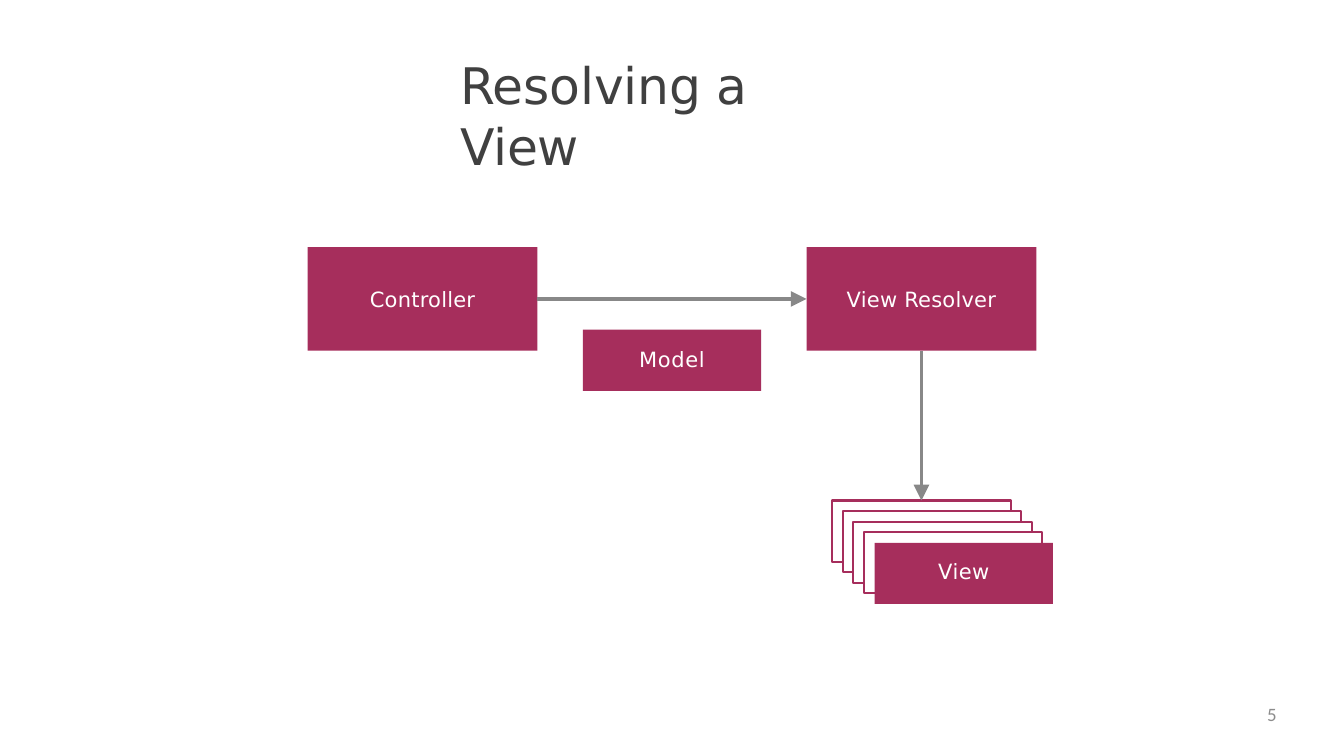
from lxml import etree
from pptx import Presentation
from pptx import util as u
from pptx.dml.color import RGBColor
from pptx.enum import shapes, text
from pptx.oxml.ns import qn

WINE, GREY, WHITE = "A62E5C", "888888", "FFFFFF"
SANS = "DejaVu Sans"


def px(n):
    """Turn px, a hundred to the inch, into EMU."""
    return u.Emu(n * 9144)


def color(code):
    """Turn a hex string into a colour."""
    return RGBColor.from_string(code)


def write(shape, words, size=20, font=SANS, ink=WHITE, align="CENTER",
          anchor="MIDDLE", inset=(0, 0, 0, 0), gap=0):
    """Put one formatted paragraph in a shape."""
    frame = shape.text_frame
    frame.word_wrap = True
    frame.vertical_anchor = getattr(text.MSO_ANCHOR, anchor)
    (frame.margin_left, frame.margin_top,
     frame.margin_right, frame.margin_bottom) = map(px, inset)
    para = frame.paragraphs[0]
    para.alignment = getattr(text.PP_ALIGN, align)
    run = para.add_run()
    run.text = words
    run.font.size = u.Pt(size)
    run.font.name = font
    run.font.color.rgb = color(ink)
    run._r.get_or_add_rPr().set("spc", str(gap))


def label(slide, box, words, **form):
    """Add a text box."""
    write(slide.shapes.add_textbox(*map(px, box)), words, **form)


def block(slide, box, words="", fill=WINE, line=None, **form):
    """Add a rectangle with an optional outline and words."""
    rect = slide.shapes.add_shape(shapes.MSO_SHAPE.RECTANGLE, *map(px, box))
    rect.shadow.inherit = False
    rect.fill.solid()
    rect.fill.fore_color.rgb = color(fill)
    if line:
        rect.line.color.rgb = color(line)
        rect.line.width = u.Pt(2)
    else:
        rect.line.fill.background()
    if words:
        write(rect, words, **form)
    return rect


def arrow(slide, start, exit, end, entry):
    """Join two rectangles with an arrow."""
    link = slide.shapes.add_connector(shapes.MSO_CONNECTOR.STRAIGHT, 0, 0, 0, 0)
    link.begin_connect(start, exit)
    link.end_connect(end, entry)
    link.line.color.rgb = color(GREY)
    link.line.width = u.Pt(3)
    etree.SubElement(link.line._get_or_add_ln(), qn("a:tailEnd"),
                     type="triangle", w="lg", len="lg")
    etree.SubElement(link._element.spPr, qn("a:effectLst"))


def stack(slide, left, top, wide, high, step, count):
    """Add the cascade of views and return the rearmost one."""
    cards = [block(slide, (left + i * step, top + i * step, wide, high),
                   fill=WHITE, line=WINE) for i in range(count)]
    shift = count * step
    block(slide, (left + shift, top + shift, wide, high), "View",
          inset=(0, 0, 0, 7), gap=40)
    return cards[0]


def main():
    """Build the slide."""
    deck = Presentation()
    deck.slide_width, deck.slide_height = px(1778), px(1000)
    slide = deck.slides.add_slide(deck.slide_layouts[6])
    label(slide, (608, 71, 560, 83), "Resolving a View", size=48, ink="404040",
          align="LEFT", anchor="TOP", inset=(1, 1, 20, 0), gap=-20)
    source = block(slide, (407, 327, 304, 137), "Controller", gap=20)
    target = block(slide, (1067, 327, 304, 137), "View Resolver", gap=20)
    block(slide, (771, 436, 236, 81), "Model", inset=(0, 0, 0, 4), gap=60)
    rear = stack(slide, 1101, 662, 236, 81, 14, 4)
    arrow(slide, source, 3, target, 1)
    arrow(slide, target, 2, rear, 0)
    label(slide, (1280, 930, 409, 50), "5", size=18, font="Calibri",
          ink="8C8C8C", align="RIGHT", anchor="TOP")
    deck.save("out.pptx")


if __name__ == "__main__":
    main()
